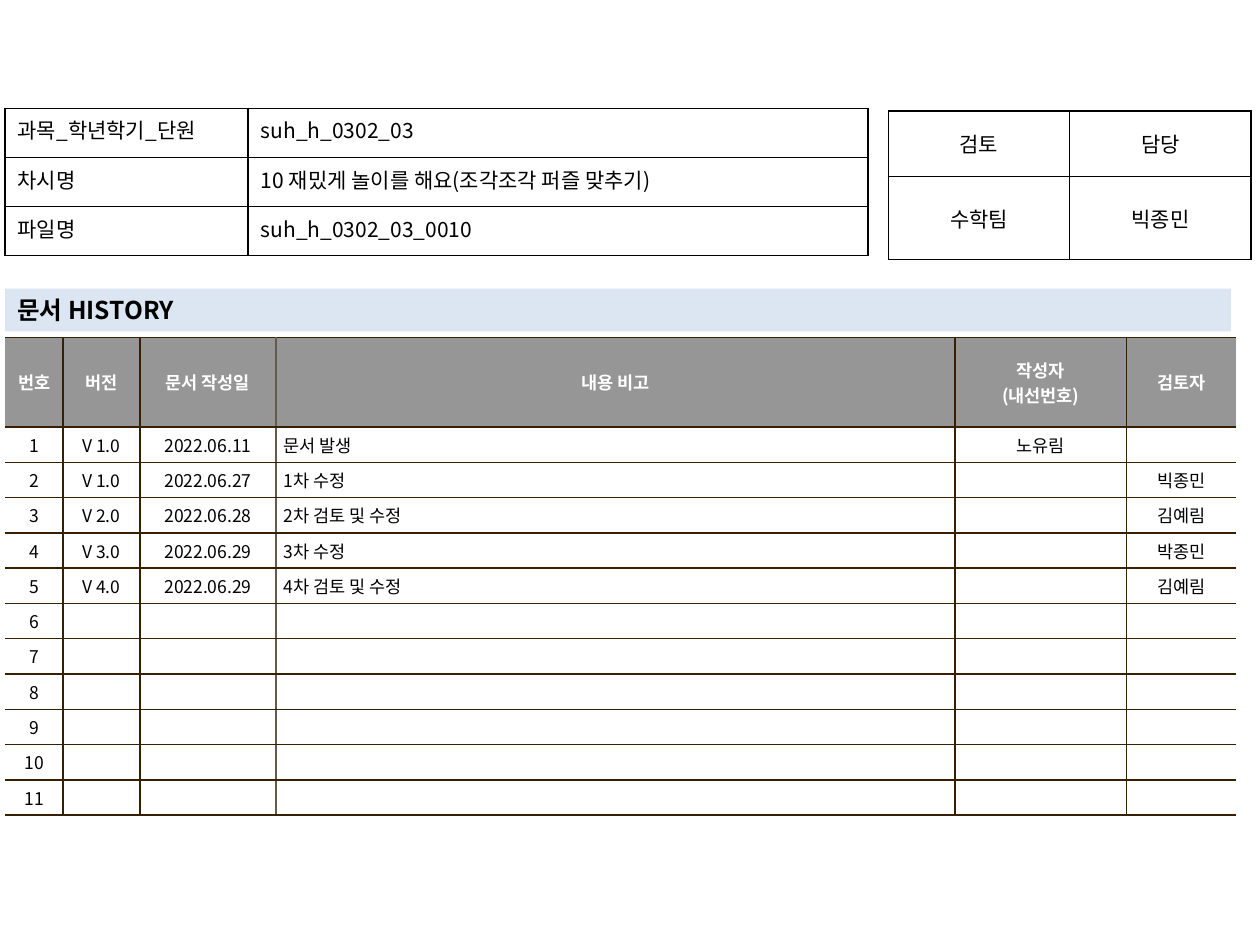
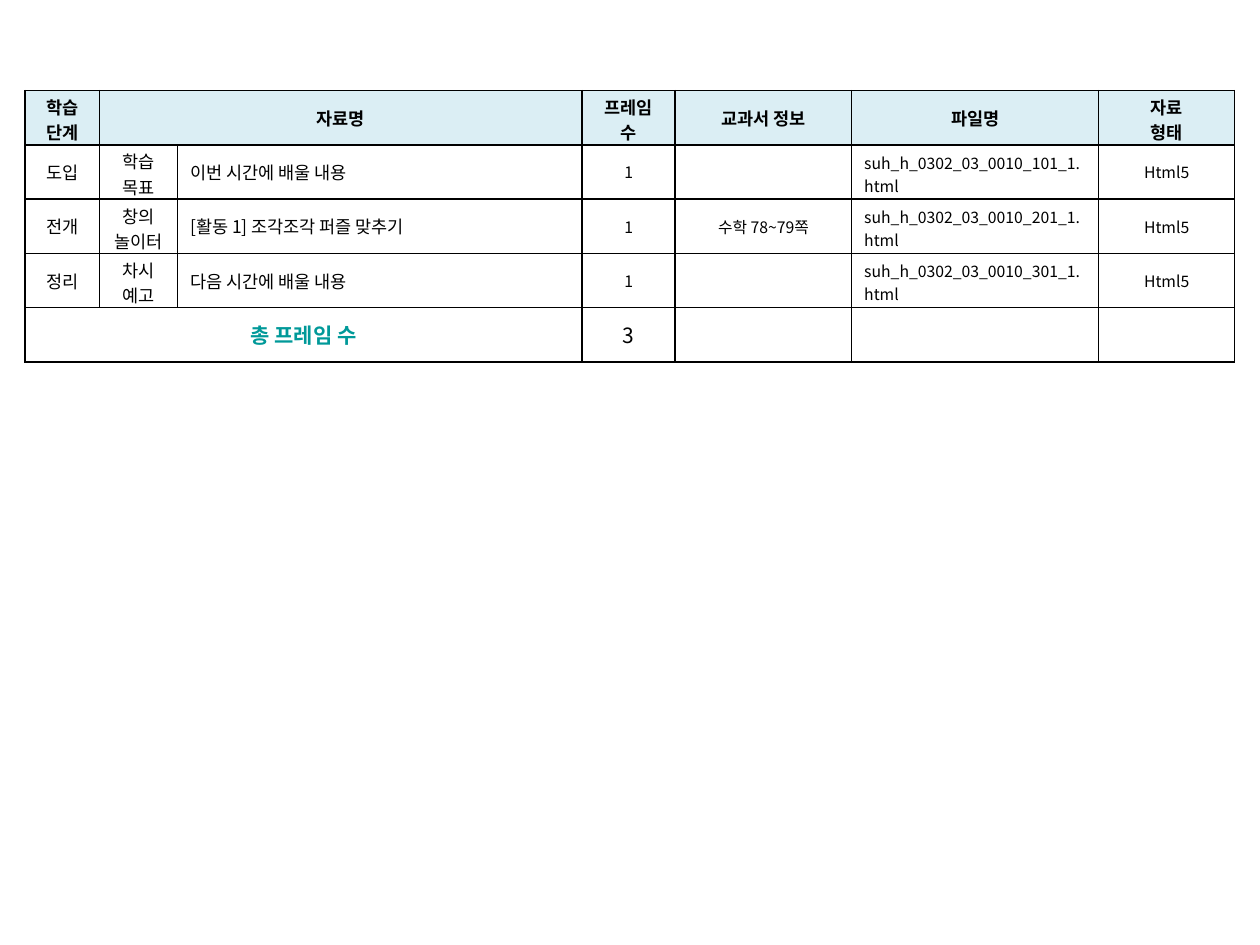
from lxml.etree import SubElement
from pptx import Presentation
from pptx.dml.color import RGBColor
from pptx.enum.shapes import MSO_SHAPE
from pptx.enum.text import MSO_ANCHOR as ANCHOR, PP_ALIGN as ALIGN
from pptx.oxml.ns import qn
from pptx.util import Inches, Pt

FONT = "Noto Sans CJK KR"
COLORS = {
    "black": "000000",
    "white": "FFFFFF",
    "band": "DCE6F2",
    "history_header": "969696",
    "history_line": "362000",
    "date_line": "645B4C",
    "frame_header": "DBEEF4",
    "total": "009999",
}


def write(frame, text, size, bold=False, color="black", align=ALIGN.CENTER):
    """Fill a text frame, one paragraph per line of text."""
    for index, line in enumerate(text.split("\n")):
        paragraph = frame.add_paragraph() if index else frame.paragraphs[0]
        paragraph.alignment = align
        if not line:
            SubElement(paragraph._p, qn("a:endParaRPr"), sz=str(size * 100))
            continue
        run = paragraph.add_run()
        run.text = line
        run.font.name = FONT
        run.font.size = Pt(size)
        run.font.bold = bold
        run.font.color.rgb = RGBColor.from_string(COLORS[color])
        SubElement(run._r.get_or_add_rPr(), qn("a:ea"), typeface=FONT)


def add_grid(slide, left, top, widths, heights, line="black", open_sides=False, date_column=None):
    """Add an unfilled table with 1 pt rules; open_sides drops the outer left and right ones."""
    frame = slide.shapes.add_table(len(heights), len(widths), Inches(left), Inches(top),
                                   Inches(sum(widths)), Inches(sum(heights)))
    table = frame.table
    table.first_row = table.horz_banding = False
    for column, width in zip(table.columns, widths):
        column.width = Inches(width)
    for row, height in zip(table.rows, heights):
        row.height = Inches(height)
        for index, cell in enumerate(row.cells):
            properties = cell._tc.get_or_add_tcPr()
            for side in "LRTB":
                edge = SubElement(properties, qn(f"a:ln{side}"), w=str(Pt(1)))
                outer = (side, index) in (("L", 0), ("R", len(widths) - 1))
                if open_sides and outer:
                    SubElement(edge, qn("a:noFill"))
                    continue
                beside_date = date_column is not None and (side, index) in (
                    ("R", date_column), ("L", date_column + 1))
                color = COLORS["date_line" if beside_date else line]
                SubElement(SubElement(edge, qn("a:solidFill")), qn("a:srgbClr"), val=color)
            cell.fill.background()
            cell.vertical_anchor = ANCHOR.MIDDLE
    return table


presentation = Presentation()
presentation.slide_width, presentation.slide_height = Inches(10), Inches(7.5)
blank_layout = presentation.slide_layouts[6]

# Slide 1: document history
slide = presentation.slides.add_slide(blank_layout)
MARGIN = 0.04

history = [
    ("번호", "버전", "문서 작성일", "내용 비고", "작성자\n(내선번호)", "검토자"),
    ("1", "V 1.0", "2022.06.11", "문서 발생", "노유림", ""),
    ("2", "V 1.0", "2022.06.27", "1차 수정", "", "빅종민"),
    ("3", "V 2.0", "2022.06.28", "2차 검토 및 수정", "", "김예림"),
    ("4", "V 3.0", "2022.06.29", "3차 수정", "", "박종민"),
    ("5", "V 4.0", "2022.06.29", "4차 검토 및 수정", "", "김예림"),
]
history += [(str(number), "", "", "", "", "") for number in range(6, 12)]
table = add_grid(slide, MARGIN, 2.68, [0.46, 0.61, 1.08, 5.39, 1.36, 0.87],
                 [0.71] + [0.25] * 11, "history_line", open_sides=True, date_column=2)
for row, texts in enumerate(history):
    header = row == 0
    for column, text in enumerate(texts):
        cell = table.cell(row, column)
        cell.margin_left = cell.margin_right = Inches(0.06)
        cell.margin_top = cell.margin_bottom = Inches(0.04)
        cell.fill.solid()
        cell.fill.fore_color.rgb = RGBColor.from_string(
            COLORS["history_header" if header else "white"])
        is_note = column == 3 and not header
        write(cell.text_frame, text, 10, header, "white" if header else "black",
              ALIGN.LEFT if is_note else ALIGN.CENTER)

approval = [("검토", "담당"), ("수학팀", "빅종민")]
table = add_grid(slide, 7.05, 0.88, [1.44] * 2, [0.52, 0.66])
for row, texts in enumerate(approval):
    for column, text in enumerate(texts):
        write(table.cell(row, column).text_frame, text, 12)

band = slide.shapes.add_shape(MSO_SHAPE.RECTANGLE, Inches(MARGIN), Inches(2.29),
                              Inches(9.73), Inches(0.34))
band.shadow.inherit = False
band.fill.solid()
band.fill.fore_color.rgb = RGBColor.from_string(COLORS["band"])
band.line.fill.background()
band.text_frame.word_wrap = True
band.text_frame.vertical_anchor = ANCHOR.MIDDLE
write(band.text_frame, "문서 HISTORY", 14, bold=True, align=ALIGN.LEFT)

lesson = [
    ("과목_학년학기_단원", "suh_h_0302_03"),
    ("차시명", "10 재밌게 놀이를 해요(조각조각 퍼즐 맞추기)"),
    ("파일명", "suh_h_0302_03_0010"),
]
table = add_grid(slide, MARGIN, 0.86, [1.93, 4.92], [0.39] * 3)
for row, texts in enumerate(lesson):
    for column, text in enumerate(texts):
        cell = table.cell(row, column)
        cell.vertical_anchor = ANCHOR.TOP
        write(cell.text_frame, text, 12, align=ALIGN.LEFT if column else ALIGN.JUSTIFY)

# Slide 2: frame list
slide = presentation.slides.add_slide(blank_layout)
frames = [
    ("학습 단계", "자료명", None, "프레임 수", "교과서 정보", "파일명", "자료\n형태"),
    ("도입", "학습 목표", "이번 시간에 배울 내용", "1", "",
     "suh_h_0302_03_0010_101_1.html", "Html5"),
    ("전개", "창의\n놀이터", "[활동 1] 조각조각 퍼즐 맞추기", "1", "수학 78~79쪽",
     "suh_h_0302_03_0010_201_1.html", "Html5"),
    ("정리", "차시 예고", "다음 시간에 배울 내용", "1", "",
     "suh_h_0302_03_0010_301_1.html", "Html5"),
    ("총 프레임 수", None, None, "3", "", "", ""),
]
HEADER, TOTAL = 0, len(frames) - 1
two_line_headers = {0, 3, 6}
two_line_columns = {1, 5}
column_aligns = {2: ALIGN.LEFT, 5: ALIGN.JUSTIFY}
table = add_grid(slide, 0.2, 0.72, [0.59, 0.62, 3.21, 0.74, 1.4, 1.96, 1.08],
                 [0.43] * len(frames))
table.cell(HEADER, 1).merge(table.cell(HEADER, 2))
table.cell(TOTAL, 0).merge(table.cell(TOTAL, 2))
for row, texts in enumerate(frames):
    for column, text in enumerate(texts):
        cell = table.cell(row, column)
        size, bold, color, align = 10, False, "black", ALIGN.CENTER
        two_lines = column in two_line_columns
        if row == HEADER:
            bold, two_lines = True, column in two_line_headers
            cell.fill.solid()
            cell.fill.fore_color.rgb = RGBColor.from_string(COLORS["frame_header"])
        elif row == TOTAL:
            size, bold, two_lines = 12, column == 0, False
            color = "total" if bold else "black"
        else:
            size = 10 if column < 3 else 9
            align = column_aligns.get(column, align)
        if two_lines:
            cell.margin_top, cell.margin_bottom = Inches(0.03), 0
        write(cell.text_frame, text or "", size, bold, color, align)

presentation.save("out.pptx")
